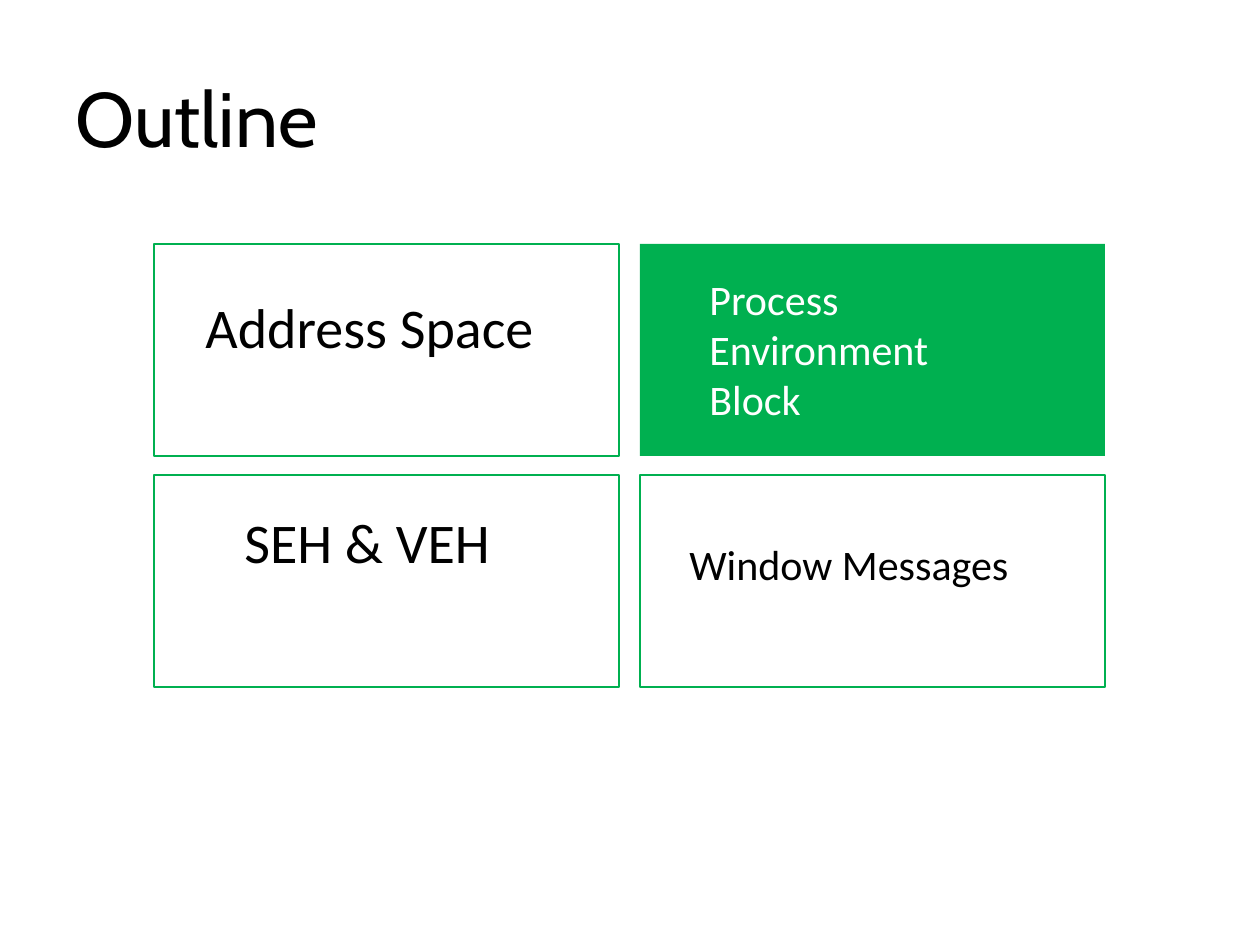
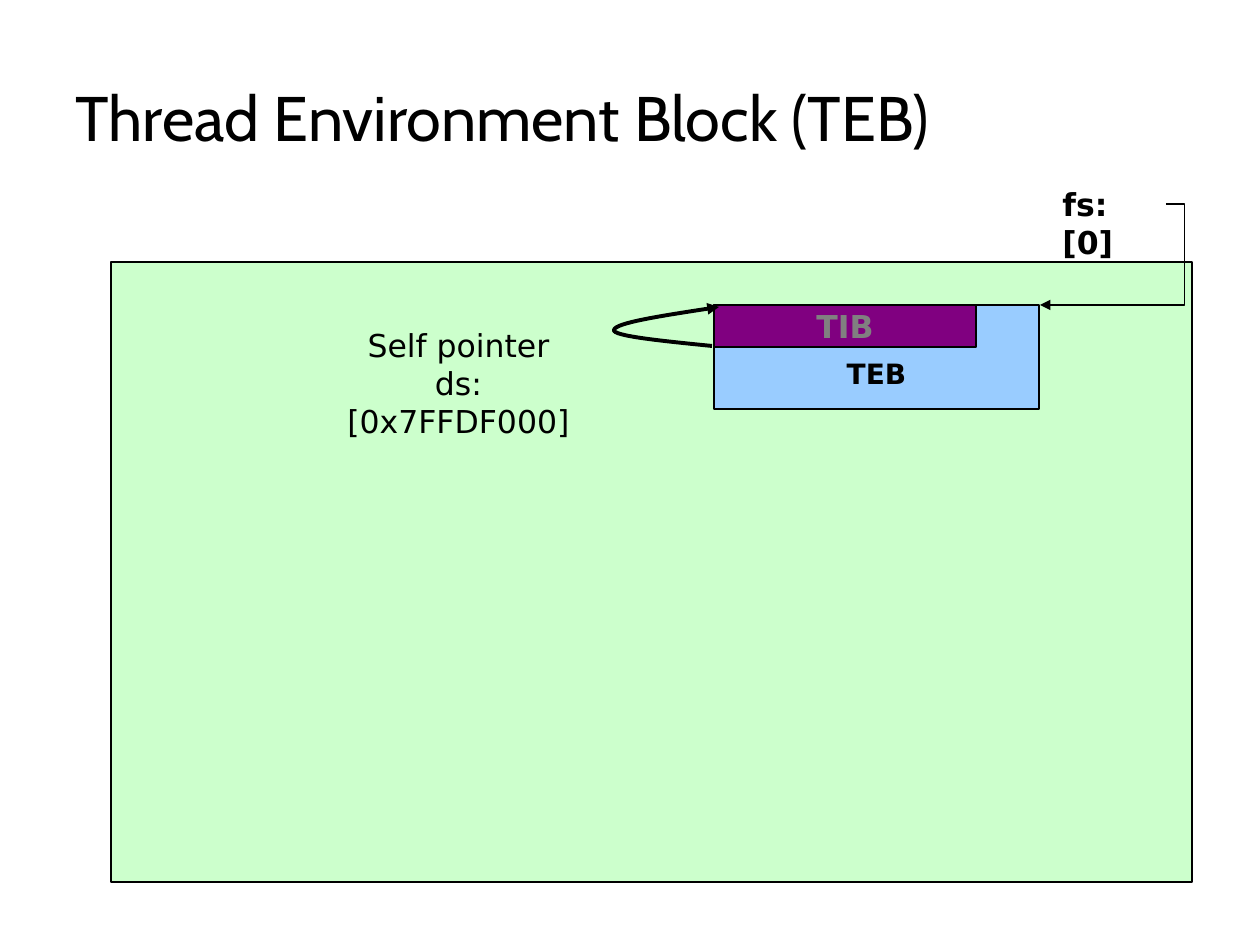
from lxml import etree
from pptx import Presentation
from pptx import util as u
from pptx.dml.color import RGBColor
from pptx.enum import shapes, text
from pptx.oxml.ns import qn

PX = u.Inches(1) / 126
BLACK = RGBColor(0, 0, 0)
WHITE = RGBColor(255, 255, 255)
GREEN = RGBColor(0x00, 0xB0, 0x50)
PALE_GREEN = RGBColor(0xCC, 0xFF, 0xCC)
LIGHT_BLUE = RGBColor(0x99, 0xCC, 0xFF)
PURPLE = RGBColor(0x80, 0x00, 0x80)
GRAY = RGBColor(0x80, 0x80, 0x80)
HEAD, BODY, DIAGRAM = "Cabin", "Calibri", "DejaVu Sans"
CENTER = text.PP_ALIGN.CENTER
LEFT = text.PP_ALIGN.LEFT
MIDDLE = text.MSO_ANCHOR.MIDDLE


def emu(*pixels):
    """Turn pixel lengths into EMU."""
    return [round(v * PX) for v in pixels]


def apply(target, values):
    """Set every attribute in values on target."""
    for name, value in values.items():
        setattr(target, name, value)


def write(tf, lines, size, font, color=BLACK, bold=False, **paragraph):
    """Fill a text frame with one formatted paragraph per line."""
    tf.word_wrap = True
    for i, line in enumerate(lines):
        p = tf.paragraphs[0] if i == 0 else tf.add_paragraph()
        apply(p, paragraph)
        r = p.add_run()
        r.text = line
        apply(r.font, {"size": u.Pt(size), "name": font, "bold": bold})
        r.font.color.rgb = color


def add_slide(prs, title, size):
    """Add a slide with the shared title style."""
    s = prs.slides.add_slide(prs.slide_layouts[5])
    sp = s.shapes.title
    apply(sp, dict(zip(("left", "top", "width", "height"),
                       emu(63, 38, 1134, 157))))
    sp.text_frame.vertical_anchor = MIDDLE
    write(sp.text_frame, [title], size, HEAD, alignment=LEFT)
    return s


def set_line(sp, color, width, arrow=False):
    """Colour an outline and optionally put an arrowhead at its end."""
    sp.line.color.rgb = color
    sp.line.width = u.Pt(width)
    if arrow:
        ln = sp.element.spPr.find(qn("a:ln"))
        etree.SubElement(ln, qn("a:tailEnd"), type="triangle")


def add_box(s, box, fill=None, line=None):
    """Add a rectangle with an optional fill and thin outline."""
    sp = s.shapes.add_shape(shapes.MSO_SHAPE.RECTANGLE, *emu(*box))
    sp.shadow.inherit = False
    if fill is None:
        sp.fill.background()
    else:
        sp.fill.solid()
        sp.fill.fore_color.rgb = fill
    if line is None:
        sp.line.fill.background()
    else:
        set_line(sp, line, 0.74)
    return sp


def add_label(s, box, lines, size, font, **style):
    """Add a text box."""
    sp = s.shapes.add_textbox(*emu(*box))
    write(sp.text_frame, lines, size, font, **style)


def add_curve(s, start, curves):
    """Add an open arrow made of cubic curves (control, control, end)."""
    builder = s.shapes.build_freeform(*start, scale=PX)
    ends = [curve[-1] for curve in curves]
    builder.add_line_segments(ends, close=False)
    sp = builder.convert_to_shape()
    sp.shadow.inherit = False
    sp.fill.background()
    set_line(sp, BLACK, 2.24, arrow=True)
    left = min(x for x, y in [start, *ends])
    top = min(y for x, y in [start, *ends])
    for segment, curve in zip(sp.element.xpath(".//a:lnTo"), curves):
        cubic = etree.Element(qn("a:cubicBezTo"))
        for x, y in curve:
            etree.SubElement(cubic, qn("a:pt"), x=str(x - left), y=str(y - top))
        segment.getparent().replace(segment, cubic)


def add_elbow(s, start, end, bend):
    """Add a bent arrow whose middle leg lies at the fraction bend."""
    cn = s.shapes.add_connector(shapes.MSO_CONNECTOR.ELBOW, *emu(*start, *end))
    set_line(cn, BLACK, 0.74, arrow=True)
    guides = cn.element.xpath(".//a:avLst")[0]
    etree.SubElement(guides, qn("a:gd"), name="adj1",
                     fmla=f"val {round(bend * 100000)}")
    etree.SubElement(cn.element.spPr, qn("a:effectLst"))


def outline_slide(prs):
    """Four topics in a grid, with the current one filled."""
    s = add_slide(prs, "Outline", 44)
    current = (0, 1)
    for row in range(2):
        for col in range(2):
            box = (154 + 486 * col, 244 + 231 * row, 465, 212)
            if (row, col) == current:
                add_box(s, box, fill=GREEN)
            else:
                add_box(s, box, line=GREEN)
    add_label(s, (193, 294, 397, 134), ["Address Space"], 32, BODY,
              line_spacing=0.9)
    add_label(s, (697, 267, 290, 164), ["Process", "Environment", "Block"],
              24, BODY, color=WHITE)
    add_label(s, (232, 501, 305, 81), ["SEH & VEH"], 32, BODY)
    add_label(s, (677, 532, 391, 63), ["Window Messages"], 24, BODY)


def teb_slide(prs):
    """Memory diagram of the thread environment block."""
    s = add_slide(prs, "Thread Environment Block (TEB)", 36)
    add_box(s, (111, 262, 1081, 620), PALE_GREEN, BLACK)
    blocks = [("TEB", (714, 305, 325, 104), LIGHT_BLUE, BLACK, 16, 39),
              ("TIB", (714, 305, 262, 42), PURPLE, GRAY, 18, 6)]
    for name, box, fill, color, size, inset in blocks:
        tf = add_box(s, box, fill, BLACK).text_frame
        apply(tf, {"vertical_anchor": MIDDLE, "margin_top": emu(inset)[0]})
        write(tf, [name], size, DIAGRAM, color, bold=True, alignment=CENTER)
    add_label(s, (1050, 179, 116, 50), ["fs:[0]"], 18, DIAGRAM, bold=True)
    add_curve(s, (712, 346), [((662, 341), (612, 336), (614, 330)),
                              ((615, 323), (667, 315), (719, 307))])
    add_label(s, (325, 320, 267, 88), ["Self pointer", "ds:[0x7FFDF000]"],
              18, DIAGRAM, alignment=CENTER)
    add_elbow(s, (1166, 204), (1040, 305), -0.15)


def main():
    """Build and save the presentation."""
    prs = Presentation()
    prs.slide_width, prs.slide_height = u.Inches(10), u.Inches(7.5)
    outline_slide(prs)
    teb_slide(prs)
    prs.save("out.pptx")


main()
